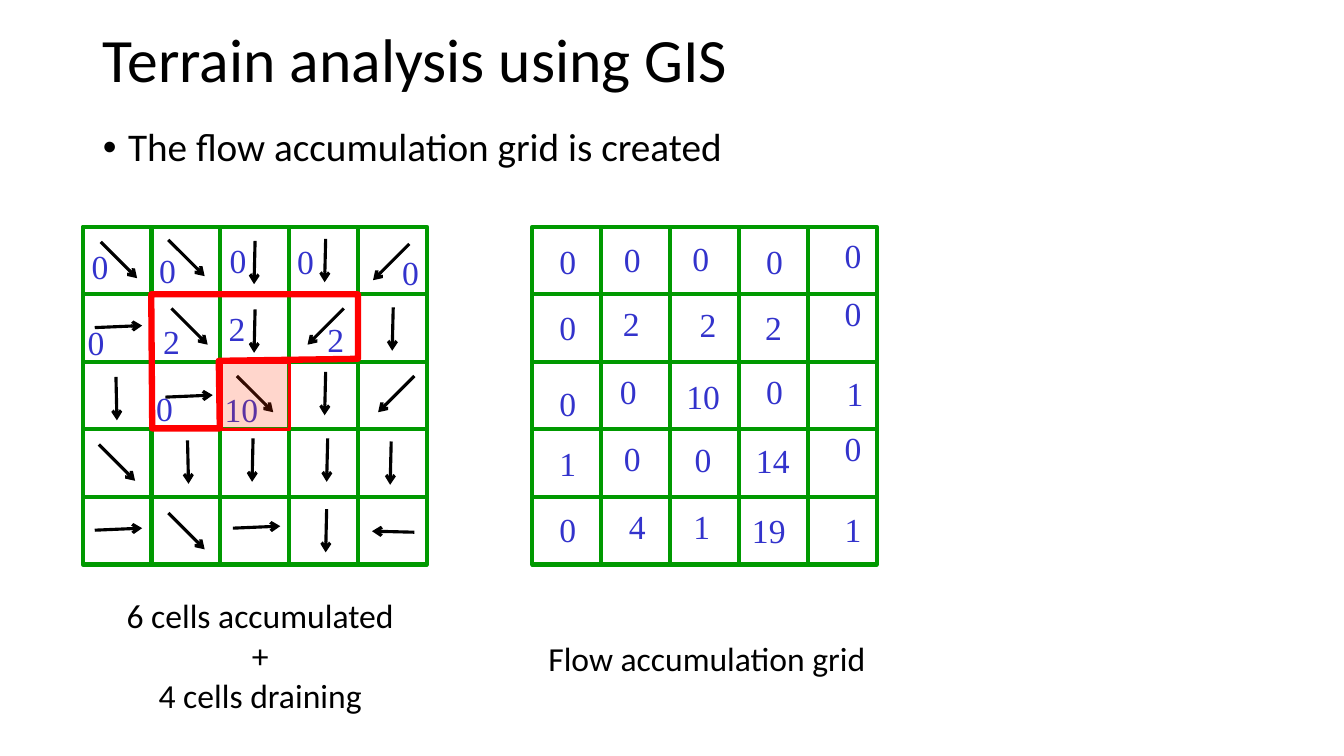
"""Builds a slide showing flow directions beside their flow accumulation grid."""
from lxml.etree import SubElement
from pptx import Presentation
from pptx.dml.color import RGBColor
from pptx.enum.shapes import MSO_CONNECTOR as Connector, MSO_SHAPE as Preset
from pptx.enum.text import MSO_ANCHOR as Anchor, MSO_AUTO_SIZE as AutoSize, PP_ALIGN as Align
from pptx.oxml.ns import qn
from pptx.util import Inches, Pt

COLORS = {"text": "000000", "grid": "009900", "count": "3333CC", "basin": "FF0000", "outlet": "FF3300"}
COLORS = {part: RGBColor.from_string(value) for part, value in COLORS.items()}
CELL_WIDTH, CELL_HEIGHT, CELLS = 0.683, 0.67, 5


def write(frame, lines, color, frame_format, paragraph_format, font_format):
    for name, value in frame_format.items():
        setattr(frame, name, value)
    frame.text = "\n".join(lines)
    for paragraph in frame.paragraphs:
        for name, value in paragraph_format.items():
            setattr(paragraph, name, value)
        for run in paragraph.runs:
            for name, value in font_format.items():
                setattr(run.font, name, value)
            run.font.color.rgb = COLORS[color]


def outline(part, color, width):
    part.shadow.inherit = False
    part.line.color.rgb = COLORS[color]
    part.line.width = Pt(width)


prs = Presentation()
prs.slide_width, prs.slide_height = Inches(13.33), Inches(7.5)
slide = prs.slides.add_slide(prs.slide_layouts[1])
title, statement = slide.placeholders

title.left, title.top, title.width, title.height = map(Inches, (0.92, 0.02, 11.5, 1.2))
write(title.text_frame, ["Terrain analysis using GIS"], "text",
      {"vertical_anchor": Anchor.MIDDLE, "auto_size": AutoSize.NONE, "word_wrap": True},
      {"alignment": Align.LEFT, "line_spacing": 0.9},
      {"size": Pt(44), "name": "Calibri"})

statement.left, statement.top, statement.width, statement.height = map(Inches, (0.92, 1.22, 11.53, 0.88))
write(statement.text_frame, ["The flow accumulation grid is created"], "text",
      {"vertical_anchor": Anchor.TOP, "auto_size": AutoSize.NONE, "word_wrap": True},
      {"line_spacing": 0.9, "space_before": Pt(0)},
      {"size": Pt(28), "name": "Calibri"})
bullet_props = statement.text_frame.paragraphs[0]._p.get_or_add_pPr()
bullet_props.set("marL", str(Inches(0.25)))
bullet_props.set("indent", str(-Inches(0.25)))
SubElement(bullet_props, qn("a:buFont"), typeface="Arial")
SubElement(bullet_props, qn("a:buChar"), char="•")

accumulation_counts = [
    ("0", 5.45, 2.34), ("0", 6.09, 2.32), ("0", 6.77, 2.31), ("0", 7.5, 2.34), ("0", 8.28, 2.28),
    ("0", 5.45, 3), ("2", 6.08, 2.96), ("2", 6.84, 2.97), ("2", 7.49, 3), ("0", 8.28, 2.86),
    ("0", 5.45, 3.75), ("0", 6.05, 3.63), ("10", 6.71, 3.68), ("0", 7.5, 3.63), ("1", 8.3, 3.65),
    ("1", 5.45, 4.34), ("0", 6.09, 4.3), ("0", 6.79, 4.31), ("14", 7.4, 4.32), ("0", 8.28, 4.2),
    ("0", 5.45, 5), ("4", 6.14, 4.97), ("1", 6.78, 4.97), ("19", 7.36, 5.01), ("1", 8.28, 5),
]
direction_counts = [
    ("0", 0.81, 2.39), ("0", 1.48, 2.43), ("0", 2.18, 2.33), ("0", 2.85, 2.34), ("0", 3.89, 2.45),
    ("0", 0.77, 3.14), ("2", 1.52, 3.13), ("2", 2.17, 3.01), ("2", 3.15, 3.11),
    ("0", 1.45, 3.8), ("10", 2.13, 3.81),
]
flow_arrows = {
    (0.36, 0.36): [(1, 2.4), (1.67, 2.38), (1.7, 3.06), (2.35, 3.73), (0.98, 4.41), (1.67, 5.09)],
    (-0.36, 0.36): [(4.06, 2.42), (3.41, 3.06), (4.11, 3.73)],
    (-0.01, 0.43): [(2.53, 2.39), (3.23, 2.37), (2.53, 3.07), (3.9, 3.05), (3.23, 3.69),
                    (2.51, 4.35), (3.25, 4.35), (3.88, 4.38), (3.24, 5.05)],
    (0.01, 0.43): [(1.15, 3.74), (1.86, 4.37)],
    (0.47, -0.02): [(0.94, 3.25), (1.64, 3.94), (0.94, 5.26), (2.31, 5.24)],
    (-0.42, -0.01): [(4.11, 5.28)],
}

for grid_left, arrows, counts in [(5.28, {}, accumulation_counts), (0.82, flow_arrows, direction_counts)]:
    grid = slide.shapes.add_group_shape().shapes
    for row in range(CELLS):
        for column in range(CELLS):
            cell = grid.add_shape(Preset.RECTANGLE, Inches(grid_left + column * CELL_WIDTH),
                                  Inches(2.25 + row * CELL_HEIGHT), Inches(CELL_WIDTH), Inches(CELL_HEIGHT))
            cell.fill.background()
            outline(cell, "grid", 3)
    for (dx, dy), starts in arrows.items():
        for x, y in starts:
            flow = grid.add_connector(Connector.STRAIGHT, *map(Inches, (x, y, x + dx, y + dy)))
            flow.line.color.rgb = COLORS["text"]
            flow.line.width = Pt(2.25)
            flow_props = flow._element.spPr
            SubElement(flow_props.find(qn("a:ln")), qn("a:tailEnd"), type="arrow")
            SubElement(flow_props, qn("a:effectLst"))
    for count, x, y in counts:
        width = 0.2 + 0.17 * len(count)
        label = grid.add_textbox(*map(Inches, (x, y, width, 0.5)))
        write(label.text_frame, [count], "count",
              {"word_wrap": False, "auto_size": AutoSize.SHAPE_TO_FIT_TEXT}, {},
              {"size": Pt(24), "name": "Times New Roman"})

basin_corners = [(1.5, 2.92), (3.55, 2.92), (3.55, 3.56), (2.17, 3.58), (2.18, 4.25), (1.51, 4.25)]
basin_points = [(Inches(x), Inches(y)) for x, y in basin_corners]
basin_builder = grid.build_freeform(*basin_points[0])
basin_builder.add_line_segments(basin_points[1:], close=True)
basin = basin_builder.convert_to_shape()
basin.fill.background()
outline(basin, "basin", 4.5)

outlet = grid.add_shape(Preset.RECTANGLE, *map(Inches, (2.2, 3.6, 0.67, 0.66)))
outlet.fill.solid()
outlet.fill.fore_color.rgb = COLORS["outlet"]
outline(outlet, "basin", 2.25)
outlet_color = outlet._element.spPr.find(qn("a:solidFill")).find(qn("a:srgbClr"))
SubElement(outlet_color, qn("a:alpha"), val="20000")

captions = [
    ((5.34, 6.28, 3.38, 0.5), Align.LEFT, ["Flow accumulation grid"]),
    ((1.14, 5.85, 2.88, 1.31), Align.CENTER, ["6 cells accumulated", "+", "4 cells draining"]),
]
for place, alignment, lines in captions:
    caption = slide.shapes.add_textbox(*map(Inches, place))
    write(caption.text_frame, lines, "text",
          {"word_wrap": False, "auto_size": AutoSize.SHAPE_TO_FIT_TEXT}, {"alignment": alignment},
          {"size": Pt(24), "name": "Calibri"})

prs.save("out.pptx")
